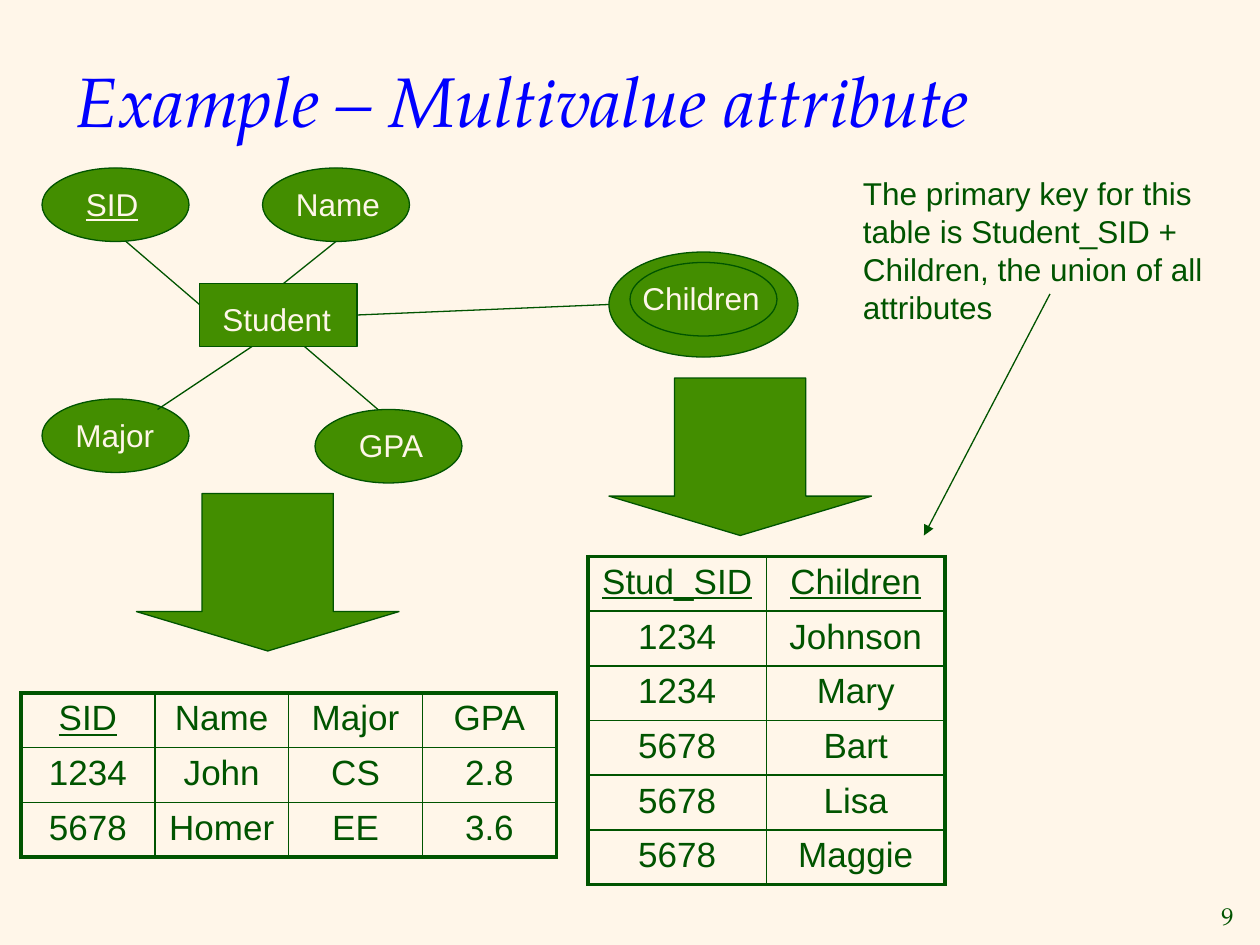
from lxml import etree
from pptx import Presentation
from pptx.dml import color as col
from pptx.enum import shapes as sh, text as tx
from pptx.oxml import ns
from pptx.util import Pt

HUES = {"paper": "FFF6E9", "leaf": "438E00", "ink": "005400", "blue": "0000FF"}
SERIF = "TeX Gyre Pagella"
LABEL = {"name": "Arial", "size": Pt(18)}
CELL = {"name": "Arial", "size": Pt(20)}
TITLE = {"name": SERIF, "size": Pt(40), "italic": True, "bold": False}
PAGE = {"name": SERIF, "size": Pt(14)}
OVAL = sh.MSO_SHAPE.OVAL
ARROW = sh.MSO_SHAPE.DOWN_ARROW


def rgb(hue):
    return col.RGBColor.from_string(HUES[hue])


def pts(*nums):
    return [Pt(n) for n in nums]


def style(par, fmt, hue, align=tx.PP_ALIGN.LEFT):
    par.alignment = align
    for key, val in fmt.items():
        setattr(par.font, key, val)
    par.font.color.rgb = rgb(hue)


def add_title(slide, words):
    title = slide.shapes.title
    title.left, title.top, title.width, title.height = pts(36, 12, 648, 90)
    frame = title.text_frame
    frame.text = words
    frame.auto_size = tx.MSO_AUTO_SIZE.NONE
    frame.vertical_anchor = tx.MSO_ANCHOR.MIDDLE
    style(frame.paragraphs[0], TITLE, "blue")


def add_text(slide, words, box, fmt, hue, align=tx.PP_ALIGN.LEFT):
    frame = slide.shapes.add_textbox(*pts(*box)).text_frame
    frame.word_wrap = True
    frame.text = words
    style(frame.paragraphs[0], fmt, hue, align)


def add_label(slide, words, left, top, wide, line=False):
    add_text(slide, words, (left, top, wide, 28.8),
             {**LABEL, "underline": line}, "paper")


def add_shape(slide, kind, box):
    shape = slide.shapes.add_shape(kind, *pts(*box))
    shape.shadow.inherit = False
    shape.fill.solid()
    shape.fill.fore_color.rgb = rgb("leaf")
    shape.line.color.rgb = rgb("ink")
    shape.line.width = Pt(0.75)
    return shape


def add_arrow(slide, left, top):
    arrow = add_shape(slide, ARROW, (left, top, 150, 90))
    arrow.adjustments[0] = 0.5
    arrow.adjustments[1] = 0.25


def add_line(slide, start, end, head=False):
    line = slide.shapes.add_connector(sh.MSO_CONNECTOR.STRAIGHT,
                                      *pts(*start, *end))
    line.line.color.rgb = rgb("ink")
    line.line.width = Pt(0.75)
    if head:
        etree.SubElement(line.line._get_or_add_ln(), ns.qn("a:tailEnd"),
                         type="triangle")
    etree.SubElement(line._element.spPr, ns.qn("a:effectLst"))
    return line


def set_edges(cell, outer):
    props = cell._tc.get_or_add_tcPr()
    for spot, side in enumerate("LRTB"):
        wide = Pt(2.25 if side in outer else 1)
        edge = etree.Element(ns.qn("a:ln" + side), w=str(wide))
        fill = etree.SubElement(edge, ns.qn("a:solidFill"))
        etree.SubElement(fill, ns.qn("a:srgbClr"), val=HUES["ink"])
        props.insert(spot, edge)


def add_table(slide, left, top, wide, rows, keys):
    high, span = len(rows), len(rows[0])
    box = pts(left, top, wide * span, 31.2 * high)
    table = slide.shapes.add_table(high, span, *box).table
    table.first_row = table.horz_banding = False
    for c in range(span):
        table.columns[c].width = Pt(wide)
    for r, row in enumerate(rows):
        table.rows[r].height = Pt(31.2)
        for c, words in enumerate(row):
            cell = table.cell(r, c)
            cell.text = words
            cell.fill.solid()
            cell.fill.fore_color.rgb = rgb("paper")
            fmt = {**CELL, "underline": r == 0 and words in keys}
            style(cell.text_frame.paragraphs[0], fmt, "ink",
                  tx.PP_ALIGN.CENTER)
            tests = {"L": c == 0, "R": c == span - 1,
                     "T": r == 0, "B": r == high - 1}
            set_edges(cell, [side for side, hit in tests.items() if hit])


def add_graph(slide):
    hub = add_shape(slide, sh.MSO_SHAPE.RECTANGLE, (114, 162, 90, 36))
    add_label(slide, "Student", 120, 168, 78)
    nodes = [
        ("SID", (24, 96), (42, 102, 60), (72, 138), (114, 174)),
        ("Name", (150, 96), (162, 102, 66), (192, 138), (162, 162)),
        ("Major", (24, 228), (36, 234, 60), (90, 234), (144, 198)),
        ("GPA", (180, 234), (198, 240, 54), (216, 234), (174, 198)),
    ]
    for name, spot, place, start, end in nodes:
        add_shape(slide, OVAL, (*spot, 84, 42))
        add_line(slide, start, end)
        add_label(slide, name, *place, line=name == "SID")
    add_shape(slide, OVAL, (348, 144, 108, 60))
    add_shape(slide, OVAL, (360, 150, 84, 42))
    add_label(slide, "Children", 360, 156, 84)
    add_line(slide, (348, 174), (204, 180)).end_connect(hub, 3)


def main():
    deck = Presentation()
    deck.slide_width, deck.slide_height = pts(720, 540)
    slide = deck.slides.add_slide(deck.slide_layouts[5])
    slide.background.fill.solid()
    slide.background.fill.fore_color.rgb = rgb("paper")
    add_title(slide, "Example – Multivalue attribute")
    add_graph(slide)
    add_arrow(slide, 78, 282)
    add_arrow(slide, 348, 216)
    add_table(slide, 12, 396, 76.5, [
        ("SID", "Name", "Major", "GPA"),
        ("1234", "John", "CS", "2.8"),
        ("5678", "Homer", "EE", "3.6"),
    ], ["SID"])
    add_table(slide, 336, 318, 102, [
        ("Stud_SID", "Children"),
        ("1234", "Johnson"),
        ("1234", "Mary"),
        ("5678", "Bart"),
        ("5678", "Lisa"),
        ("5678", "Maggie"),
    ], ["Stud_SID", "Children"])
    add_text(slide, "The primary key for this table is Student_SID + "
             "Children, the union of all attributes",
             (486, 96, 216, 93.6), LABEL, "ink")
    add_line(slide, (600, 168), (528, 306), head=True)
    add_text(slide, "9", (680.4, 511.2, 31.7, 23.8), PAGE, "ink",
             tx.PP_ALIGN.RIGHT)
    deck.save("out.pptx")


if __name__ == "__main__":
    main()
